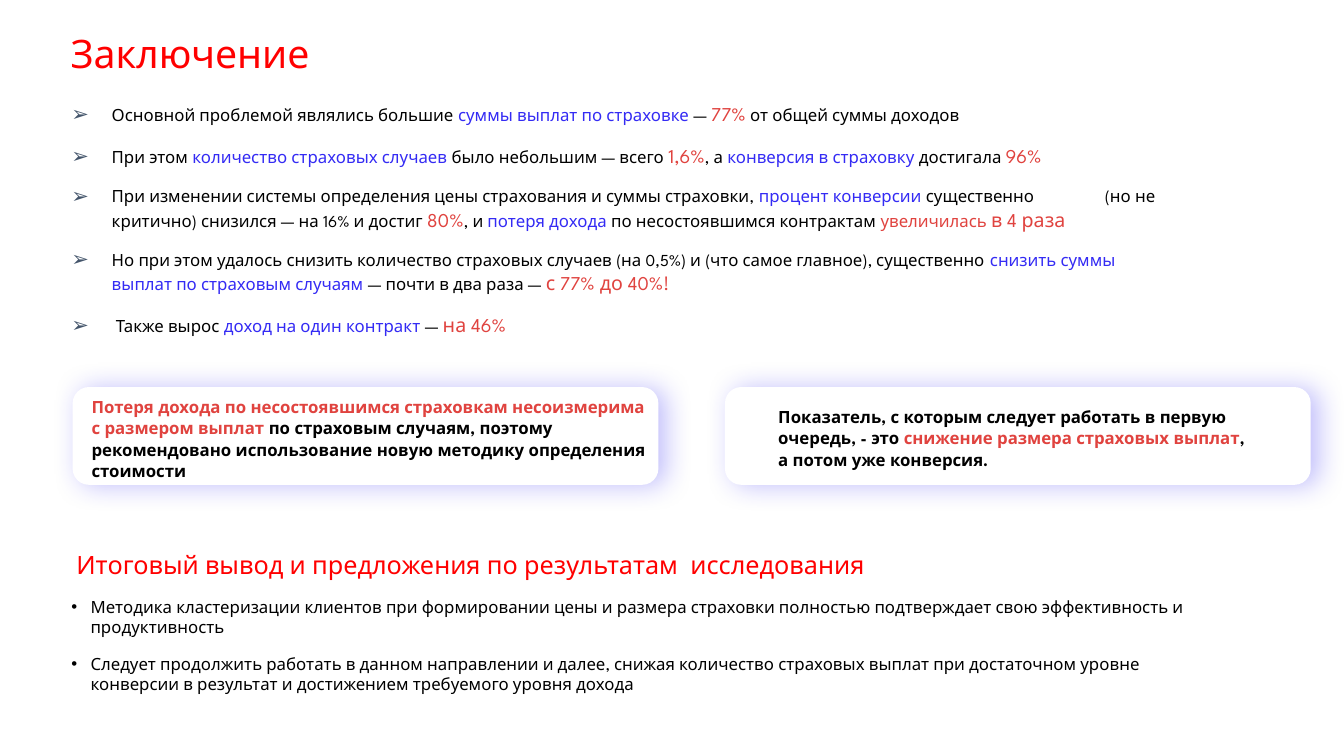
import pptx
import pptx.dml.color
import pptx.enum.shapes
import pptx.enum.text
import pptx.oxml
import pptx.oxml.ns
import pptx.util
from dataclasses import dataclass

Inches = pptx.util.Inches
Pt = pptx.util.Pt


@dataclass(frozen=True)
class Theme:
    font: str = "League Spartan"
    heading: str = "FF0000"
    text: str = "000000"
    topic: str = "342BF4"
    accent: str = "E0433F"
    arrow: str = "44556B"
    paper: str = "FFFFFF"
    title_size: int = 28
    subtitle_size: int = 18
    body_size: int = 12
    figure_size: int = 14


THEME = Theme()
PLAIN = dict(color=THEME.text)
TOPIC = dict(color=THEME.topic)
ACCENT = dict(color=THEME.accent)
FIGURE = dict(color=THEME.accent, size=THEME.figure_size)

FINDINGS = [
    [("Основной проблемой являлись большие ", PLAIN), ("суммы выплат по страховке ", TOPIC),
     ("— ", PLAIN), ("77%", FIGURE), (" от общей суммы доходов", PLAIN)],
    [("При этом ", PLAIN), ("количество страховых случаев ", TOPIC),
     ("было небольшим — всего ", PLAIN), ("1,6%", FIGURE), (", а ", PLAIN),
     ("конверсия в страховку ", TOPIC), ("достигала ", PLAIN), ("96%", FIGURE)],
    [("При изменении системы определения цены страхования и суммы страховки, ", PLAIN),
     ("процент конверсии ", TOPIC),
     ("существенно\t(но не критично) снизился — на 16% и достиг ", PLAIN),
     ("80%", FIGURE), (", и ", PLAIN), ("потеря дохода ", TOPIC),
     ("по несостоявшимся контрактам ", PLAIN), ("увеличилась ", ACCENT), ("в 4 раза", FIGURE)],
    [("Но при этом удалось снизить количество страховых случаев (на 0,5%) "
      "и (что самое главное), существенно ", PLAIN),
     ("снизить суммы выплат по страховым случаям ", TOPIC),
     ("— почти в два раза — ", PLAIN), ("с 77% до 40%!", FIGURE)],
    [(" Также вырос ", PLAIN), ("доход на один контракт ", TOPIC),
     ("— ", PLAIN), ("на 46%", FIGURE)],
]
LOSS = [
    ("Потеря дохода по несостоявшимся страховкам несоизмерима с размером выплат ", ACCENT),
    ("по страховым случаям, поэтому рекомендовано использование новую методику "
     "определения стоимости", PLAIN),
]
PRIORITY = [
    ("Показатель, с которым следует работать в первую очередь, - это ", PLAIN),
    ("снижение размера страховых выплат", ACCENT),
    (", а потом уже конверсия.", PLAIN),
]
PROPOSALS = [
    [("Методика кластеризации клиентов при формировании цены и размера страховки "
      "полностью подтверждает свою эффективность и продуктивность", PLAIN)],
    [("Следует продолжить работать в данном направлении и далее, снижая количество "
      "страховых выплат при достаточном уровне конверсии в результат и достижением "
      "требуемого уровня дохода", PLAIN)],
]


def add_run(paragraph, text, color=THEME.text, size=THEME.body_size, bold=False):
    run = paragraph.add_run()
    run.text = text
    run.font.name = THEME.font
    run.font.size = Pt(size)
    run.font.bold = bold
    run.font.color.rgb = pptx.dml.color.RGBColor.from_string(color)


def append_xml(parent, xml):
    opening, rest = xml.split(">", 1)
    closed = opening.endswith("/")
    opening = opening.rstrip("/") + " " + pptx.oxml.ns.nsdecls("a")
    parent.append(pptx.oxml.parse_xml(opening + ("/>" if closed else ">") + rest))


class ConclusionSlide:
    def __init__(self, presentation, theme):
        self.theme = theme
        self.slide = presentation.slides.add_slide(presentation.slide_layouts[5])

    def title(self, text, left, top, width, height):
        title = self.slide.shapes.title
        title.left, title.top = Inches(left), Inches(top)
        title.width, title.height = Inches(width), Inches(height)
        frame = title.text_frame
        frame.word_wrap = True
        frame.auto_size = pptx.enum.text.MSO_AUTO_SIZE.NONE
        frame.vertical_anchor = pptx.enum.text.MSO_ANCHOR.TOP
        paragraph = frame.paragraphs[0]
        paragraph.alignment = pptx.enum.text.PP_ALIGN.LEFT
        add_run(paragraph, text, color=self.theme.heading, size=self.theme.title_size)

    def card(self, left, top, width, height):
        card = self.slide.shapes.add_shape(
            pptx.enum.shapes.MSO_SHAPE.ROUNDED_RECTANGLE,
            Inches(left), Inches(top), Inches(width), Inches(height))
        card.shadow.inherit = False
        card.fill.solid()
        card.fill.fore_color.rgb = pptx.dml.color.RGBColor.from_string(self.theme.paper)
        card.line.fill.background()
        effects = card._element.spPr.find(pptx.oxml.ns.qn("a:effectLst"))
        append_xml(effects, f'<a:outerShdw blurRad="{Pt(19)}" dist="{Pt(5)}" dir="0" '
                   f'algn="ctr" rotWithShape="0"><a:srgbClr val="{self.theme.topic}">'
                   '<a:alpha val="30000"/></a:srgbClr></a:outerShdw>')

    def text(self, paragraphs, left, top, width, height, margin=0, indent=0, line=1.0,
             after=0, bold=False, bullet=None, bullet_color=None, bullet_size=100, tab=None):
        box = self.slide.shapes.add_textbox(
            Inches(left), Inches(top), Inches(width), Inches(height))
        frame = box.text_frame
        frame.word_wrap = True
        frame.auto_size = pptx.enum.text.MSO_AUTO_SIZE.SHAPE_TO_FIT_TEXT
        for index, runs in enumerate(paragraphs):
            paragraph = frame.add_paragraph() if index else frame.paragraphs[0]
            paragraph.line_spacing = line
            paragraph.space_after = Pt(after)
            properties = paragraph._p.get_or_add_pPr()
            properties.set("marL", str(Inches(margin)))
            properties.set("indent", str(Inches(indent)))
            if bullet:
                color = bullet_color or self.theme.text
                append_xml(properties, f'<a:buClr><a:srgbClr val="{color}"/></a:buClr>')
                append_xml(properties, f'<a:buSzPct val="{bullet_size * 1000}"/>')
                append_xml(properties, '<a:buFont typeface="Arial"/>')
                append_xml(properties, f'<a:buChar char="{bullet}"/>')
            if tab:
                append_xml(properties, f'<a:tabLst><a:tab pos="{Inches(tab)}" algn="l"/></a:tabLst>')
            for text, style in runs:
                add_run(paragraph, text, bold=bold, **style)


def main():
    presentation = pptx.Presentation()
    presentation.slide_width = Inches(13.33)
    presentation.slide_height = Inches(7.5)
    page = ConclusionSlide(presentation, THEME)

    for left in (7.19, 0.72):
        page.card(left, 3.84, 5.81, 0.97)
    page.title("Заключение", 0.6, 0.24, 3.09, 0.57)
    page.text(FINDINGS, 0.52, 0.95, 11.16, 2.45, margin=0.49, indent=-0.4, line=1.07, after=12,
              bullet="➢", bullet_color=THEME.arrow, bullet_size=125, tab=10.34)
    page.text(PROPOSALS, 0.61, 5.87, 11.61, 1.08, margin=0.19, indent=-0.19, after=12, bullet="•")
    subtitle = dict(color=THEME.heading, size=THEME.subtitle_size)
    page.text([[("Итоговый вывод и предложения по результатам  исследования", subtitle)]],
              0.66, 5.4, 9.88, 0.4)
    page.text([LOSS], 0.72, 3.87, 5.81, 0.95, margin=0.09, line=1.07, bold=True)
    page.text([PRIORITY], 7.53, 3.97, 4.92, 0.73, margin=0.09, line=1.07, bold=True)

    presentation.save("out.pptx")


if __name__ == "__main__":
    main()
